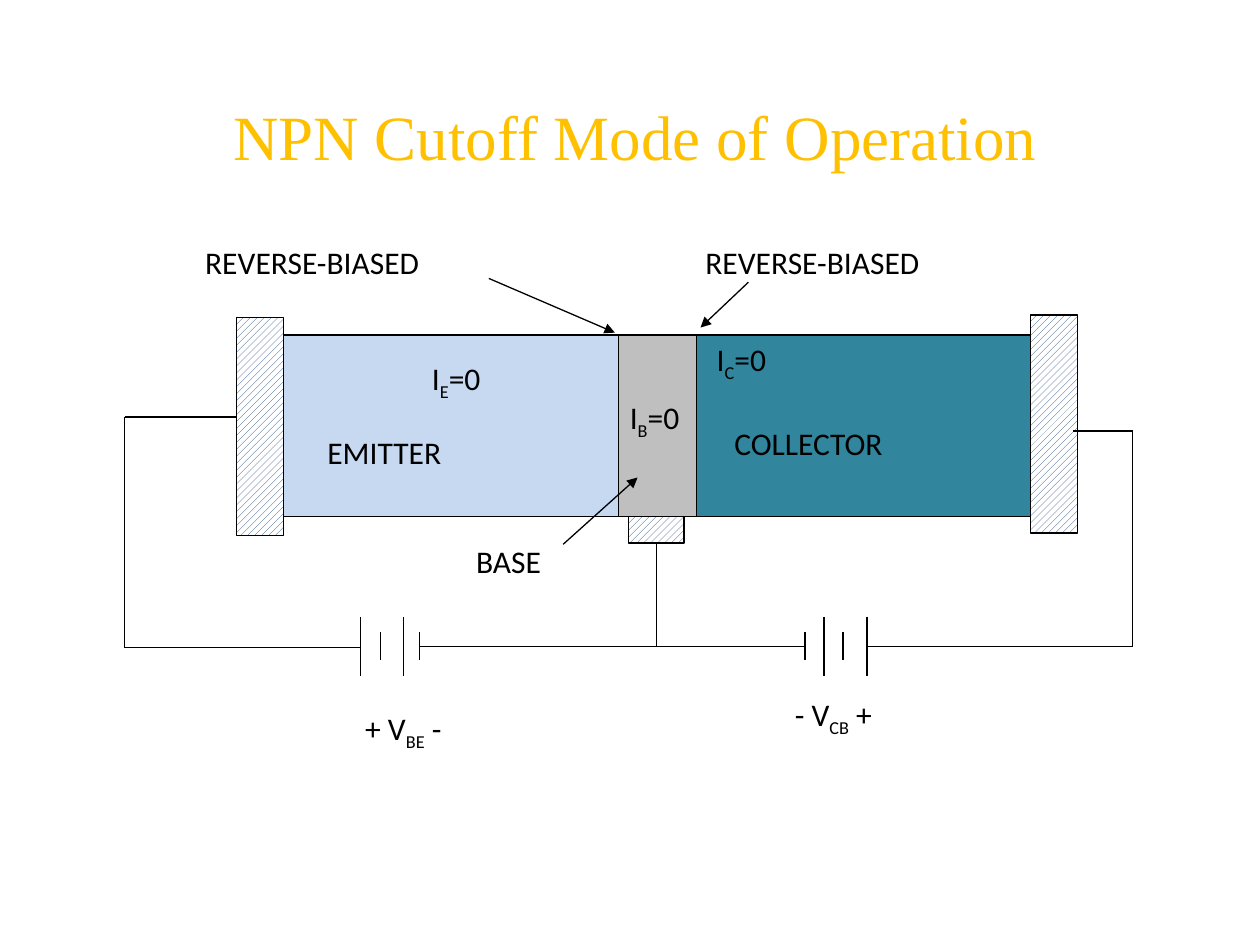
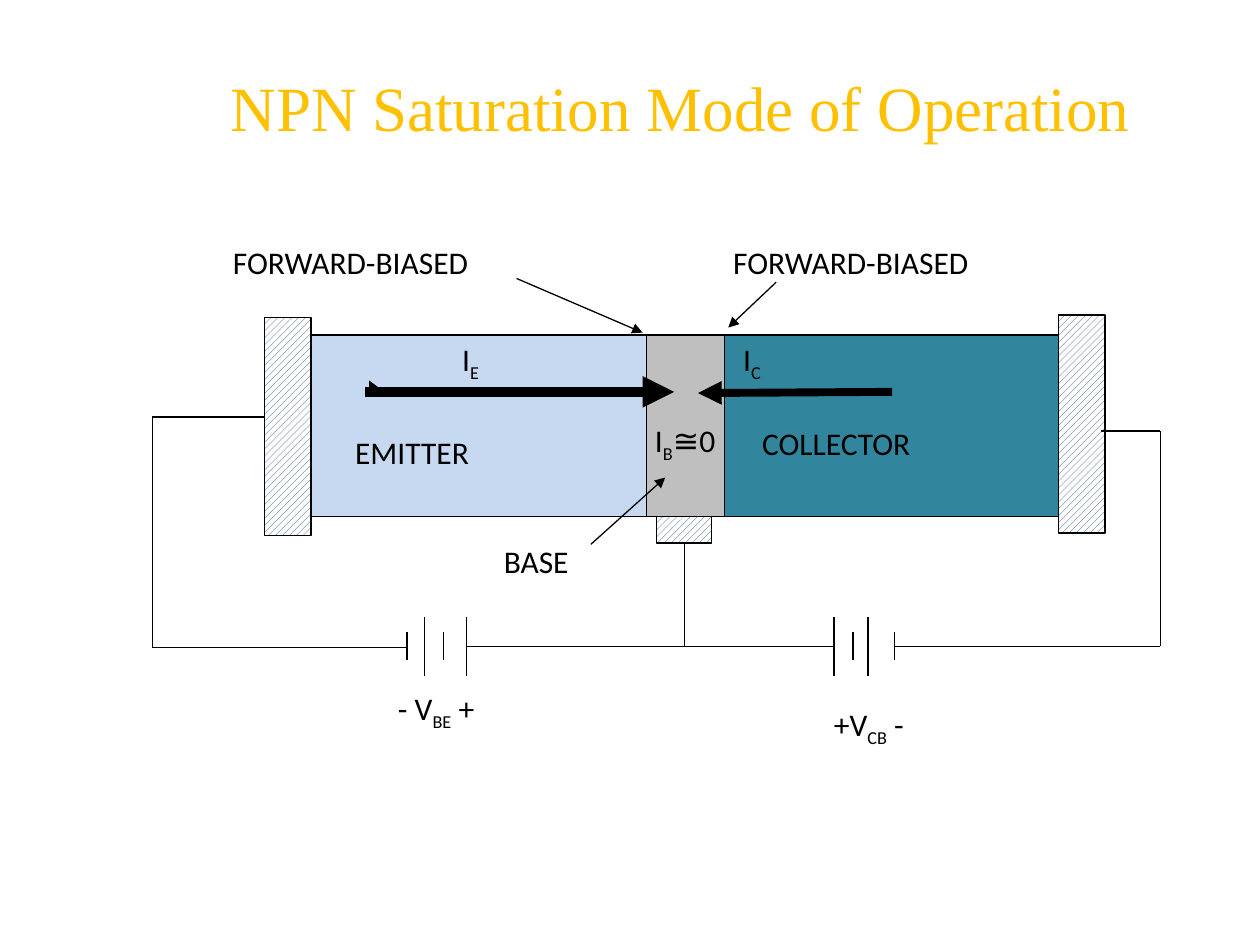
from lxml.etree import SubElement
from pptx import Presentation
from pptx.dml.color import RGBColor
from pptx.enum.dml import MSO_PATTERN
from pptx.enum.shapes import MSO_CONNECTOR, MSO_SHAPE
from pptx.enum.text import MSO_ANCHOR, MSO_AUTO_SIZE, PP_ALIGN
from pptx.oxml.ns import qn
from pptx.util import Inches, Pt

COLORS = {
    "title": "FFC000",
    "ink": "000000",
    "emitter": "C6D9F1",
    "base": "BFBFBF",
    "collector": "31859C",
    "hatch": "1F497D",
    "paper": "FFFFFF",
}
TITLE_FONT = {"name": "Times New Roman", "size": Pt(36), "bold": False}
LABEL_FONT = {"name": "Calibri", "size": Pt(18)}
TITLE_FRAME = {
    "margin_left": 0, "margin_top": 0, "margin_right": 0, "margin_bottom": 0,
    "vertical_anchor": MSO_ANCHOR.TOP, "auto_size": MSO_AUTO_SIZE.NONE, "word_wrap": True,
}
BATTERY_Y = 3.25
PLATE_HEIGHTS = {"long": 0.47, "short": 0.22}

CUTOFF = {
    "title": "NPN Cutoff Mode of Operation",
    "title_box": (1.85, 0.77, 6.98, 0.61),
    "origin": (0.99, 1.88),
    "bias": "REVERSE-BIASED",
    "emitter_battery": ("long", (1.87, 2.03, 2.21, 2.34)),
    "collector_battery": ("short", (5.4, 5.55, 5.7, 5.89)),
    "current_arrows": [],
    "labels": [
        ("+ V_BE_ -", 1.81, 3.7, 1.18),
        ("- V_CB_ +", 5.22, 3.59, 1.24),
        ("I_E_=0", 2.34, 0.92, 0.7),
        ("I_C_=0", 4.6, 0.77, 0.74),
        ("I_B_=0", 3.91, 1.23, 0.74),
    ],
}
SATURATION = {
    "title": "NPN Saturation Mode of Operation",
    "title_box": (1.83, 0.54, 7.19, 0.61),
    "origin": (1.21, 1.88),
    "bias": "FORWARD-BIASED",
    "emitter_battery": ("short", (2.02, 2.16, 2.31, 2.49)),
    "collector_battery": ("long", (5.41, 5.56, 5.68, 5.89)),
    "current_arrows": [
        ((1.76, 1.22), (1.72, 1.14), 0.75),
        ((1.69, 1.23), (4.14, 1.23), 6),
        ((5.87, 1.23), (4.33, 1.24), 4.5),
    ],
    "labels": [
        ("- V_BE_ +", 1.85, 3.54, 1.18),
        ("+V_CB_ -", 5.31, 3.67, 0.9),
        ("I_E_", 2.36, 0.77, 0.5),
        ("I_C_", 4.59, 0.77, 0.5),
        ("I_B_≅0", 3.89, 1.41, 0.83),
    ],
}


def color(name):
    """Return a palette colour."""
    return RGBColor.from_string(COLORS[name])


def apply_format(target, values):
    """Set every attribute in a dict of format values."""
    for name, value in values.items():
        setattr(target, name, value)


def place(origin, x, y):
    """Turn inches relative to the diagram into slide lengths."""
    return Inches(origin[0] + x), Inches(origin[1] + y)


def add_title(slide, text, box):
    """Move, fill and format the title placeholder."""
    title = slide.shapes.title
    apply_format(title, dict(zip(("left", "top", "width", "height"), map(Inches, box))))
    apply_format(title.text_frame, TITLE_FRAME)
    title.text_frame.text = text
    paragraph = title.text_frame.paragraphs[0]
    paragraph.alignment = PP_ALIGN.LEFT
    apply_format(paragraph.font, TITLE_FONT)
    paragraph.font.color.rgb = color("title")


def add_block(slide, origin, box, fill_name):
    """Draw an outlined region, hatched when it is a contact."""
    x, y, width, height = box
    shape = slide.shapes.add_shape(
        MSO_SHAPE.RECTANGLE, *place(origin, x, y), Inches(width), Inches(height))
    shape.shadow.inherit = False
    if fill_name == "hatch":
        shape.fill.patterned()
        shape.fill.pattern = MSO_PATTERN.WIDE_UPWARD_DIAGONAL
        shape.fill.back_color.rgb = color("paper")
    else:
        shape.fill.solid()
    shape.fill.fore_color.rgb = color(fill_name)
    shape.line.color.rgb = color("ink")
    shape.line.width = Pt(0.75)
    return shape


def add_line(slide, origin, start, end, width=0.75, arrow=False):
    """Draw a straight wire, plate or arrow."""
    connector = slide.shapes.add_connector(
        MSO_CONNECTOR.STRAIGHT, *place(origin, *start), *place(origin, *end))
    connector.line.color.rgb = color("ink")
    connector.line.width = Pt(width)
    if arrow:
        SubElement(connector.line._get_or_add_ln(), qn("a:tailEnd"), type="triangle")
    SubElement(connector._element.spPr, qn("a:effectLst"))
    return connector


def add_label(slide, origin, text, x, y, width):
    """Write a label whose parts between underscores are subscripts."""
    box = slide.shapes.add_textbox(*place(origin, x, y), Inches(width), Inches(0.4))
    box.text_frame.word_wrap = True
    paragraph = box.text_frame.paragraphs[0]
    for index, part in enumerate(text.split("_")):
        if part:
            run = paragraph.add_run()
            run.text = part
            apply_format(run.font, LABEL_FONT)
            run.font.color.rgb = color("ink")
            if index % 2:
                run._r.get_or_add_rPr().set("baseline", "-25000")


def add_transistor(slide, origin):
    """Draw the three regions and their contacts; return the base contact."""
    for name, x, width in (("emitter", 1.25, 2.67), ("base", 3.92, 0.63), ("collector", 4.54, 2.67)):
        add_block(slide, origin, (x, 0.78, width, 1.44), name)
    for x, y in ((0.89, 0.64), (7.19, 0.62)):
        add_block(slide, origin, (x, y, 0.37, 1.73), "hatch")
    return add_block(slide, origin, (4, 2.22, 0.44, 0.21), "hatch")


def add_battery(slide, origin, first, positions):
    """Draw alternating long and short plates centred on the wire."""
    second = "short" if first == "long" else "long"
    for index, x in enumerate(positions):
        half = PLATE_HEIGHTS[second if index % 2 else first] / 2
        add_line(slide, origin, (x, BATTERY_Y - half), (x, BATTERY_Y + half))


def add_circuit(slide, origin, mode, base_contact):
    """Draw both batteries and the wires that join them to the contacts."""
    batteries = mode["emitter_battery"], mode["collector_battery"]
    for first, positions in batteries:
        add_battery(slide, origin, first, positions)
    emitter_plates, collector_plates = (positions for _, positions in batteries)
    left_loop = [(0.89, 1.43), (0, 1.43), (0, 3.26), (emitter_plates[0], 3.26)]
    middle = [(emitter_plates[-1], BATTERY_Y), (collector_plates[0], BATTERY_Y)]
    right_loop = [(collector_plates[-1], BATTERY_Y), (8, BATTERY_Y), (8, 1.54), (7.53, 1.54)]
    for wire in (left_loop, middle, right_loop):
        for start, end in zip(wire, wire[1:]):
            add_line(slide, origin, start, end)
    base_wire = add_line(slide, origin, (4.22, 2.43), (4.22, BATTERY_Y))
    base_wire.begin_connect(base_contact, 2)


def add_annotations(slide, origin, mode):
    """Add pointers, current arrows and all labels."""
    pointers = [((2.89, 0.33), (3.89, 0.76)), ((4.95, 0.36), (4.57, 0.72)), ((3.48, 2.44), (4.07, 1.91))]
    for start, end in pointers:
        add_line(slide, origin, start, end, arrow=True)
    for start, end, width in mode["current_arrows"]:
        add_line(slide, origin, start, end, width, arrow=True)
    shared_labels = [
        (mode["bias"], 0.54, 0, 2.49),
        (mode["bias"], 4.51, 0, 2.49),
        ("EMITTER", 1.51, 1.51, 1.3),
        ("COLLECTOR", 4.74, 1.44, 1.73),
        ("BASE", 2.69, 2.37, 0.87),
    ]
    for label in shared_labels + mode["labels"]:
        add_label(slide, origin, *label)


def add_mode_slide(presentation, mode):
    """Build one operating mode slide."""
    slide = presentation.slides.add_slide(presentation.slide_layouts[5])
    origin = mode["origin"]
    add_title(slide, mode["title"], mode["title_box"])
    base_contact = add_transistor(slide, origin)
    add_circuit(slide, origin, mode, base_contact)
    add_annotations(slide, origin, mode)


def main():
    """Build and save the presentation."""
    presentation = Presentation()
    presentation.slide_width = Inches(10)
    presentation.slide_height = Inches(7.5)
    for mode in (CUTOFF, SATURATION):
        add_mode_slide(presentation, mode)
    presentation.save("out.pptx")


if __name__ == "__main__":
    main()
